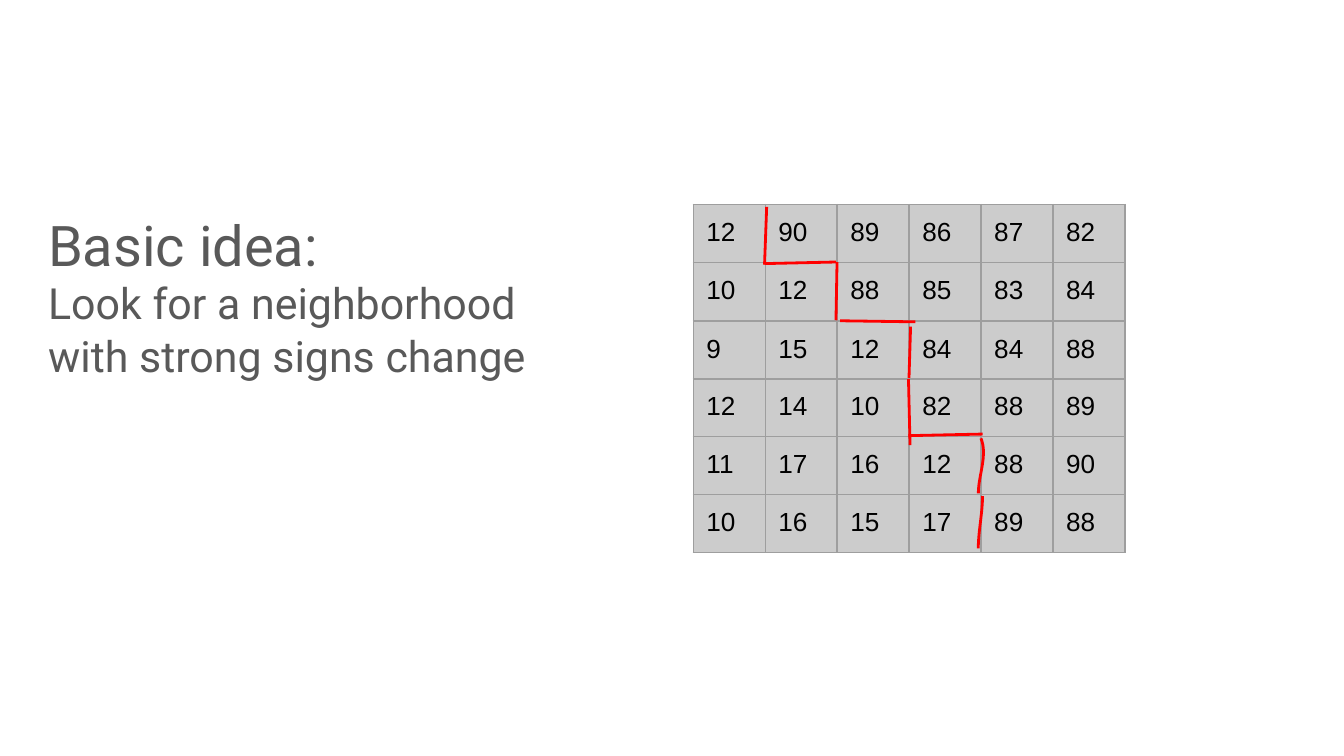
from lxml import etree
from pptx import Presentation
from pptx.dml.color import RGBColor
from pptx.oxml.ns import qn
from pptx.util import Cm, Pt

GRAY_TEXT = RGBColor(0x59, 0x59, 0x59)
BLACK = RGBColor(0x00, 0x00, 0x00)
CELL_GRAY = RGBColor(0xCC, 0xCC, 0xCC)
BORDER_GRAY = RGBColor(0x9E, 0x9E, 0x9E)
RED = RGBColor(0xFF, 0x00, 0x00)

# Content: text, size in points, line height in points
IDEA_LINES = [
    ("Basic idea:", 30, 44),
    ("Look for a neighborhood", 23, 27),
    ("with strong signs change", 23, 28),
]
PIXEL_VALUES = [
    [12, 90, 89, 86, 87, 82],
    [10, 12, 88, 85, 83, 84],
    [9, 15, 12, 84, 84, 88],
    [12, 14, 10, 82, 88, 89],
    [11, 17, 16, 12, 88, 90],
    [10, 16, 15, 17, 89, 88],
]
COLUMN_WIDTH = 1.36
ROW_HEIGHTS = [1.05, 1.11, 1.05, 1.05, 1.05, 1.05]

# Hand-drawn edge: Bezier control points in cm, two for a straight stroke
EDGE_STROKES = [
    [(14.49, 3.91), (14.45, 5)],
    [(14.45, 4.98), (15.8, 4.95)],
    [(15.82, 4.95), (15.8, 6.05)],
    [(15.88, 6.06), (17.3, 6.08)],
    [(17.21, 6.17), (17.18, 7.14)],
    [(17.17, 7.16), (17.2, 8.41)],
    [(17.17, 8.23), (18.57, 8.2)],
    [(18.54, 8.28), (18.67, 8.61), (18.49, 8.97), (18.49, 9.32)],
    [(18.57, 9.37), (18.57, 9.7), (18.49, 10.03), (18.49, 10.36)],
]
CURVE_STEPS = 16
INSETS = dict.fromkeys(
    ("margin_left", "margin_top", "margin_right", "margin_bottom"), Cm(0.25))


def set_attributes(target, values):
    for name, value in values.items():
        setattr(target, name, value)


def write(para, text, size, font, color):
    span = para.add_run()
    span.text = text
    set_attributes(span.font, {"size": Pt(size), "name": font})
    span.font.color.rgb = color


def add_borders(cell):
    properties = cell._tc.get_or_add_tcPr()
    for index, side in enumerate(("a:lnL", "a:lnR", "a:lnT", "a:lnB")):
        line = etree.Element(qn(side), w=str(Pt(0.75)))
        fill = etree.SubElement(line, qn("a:solidFill"))
        etree.SubElement(fill, qn("a:srgbClr"), val=str(BORDER_GRAY))
        properties.insert(index, line)


def curve_point(points, t):
    while len(points) > 1:
        points = [(x1 + (x2 - x1) * t, y1 + (y2 - y1) * t)
                  for (x1, y1), (x2, y2) in zip(points, points[1:])]
    x, y = points[0]
    return Cm(x), Cm(y)


def add_stroke(page, points):
    steps = CURVE_STEPS if len(points) > 2 else 1
    start, *rest = [curve_point(points, i / steps) for i in range(steps + 1)]
    builder = page.shapes.build_freeform(*start)
    builder.add_line_segments(rest, close=False)
    stroke = builder.convert_to_shape()
    stroke.shadow.inherit = False
    stroke.fill.background()
    stroke.line.color.rgb = RED
    stroke.line.width = Pt(1.5)


deck = Presentation()
set_attributes(deck, {"slide_width": Cm(25.4), "slide_height": Cm(14.28)})
page = deck.slides.add_slide(deck.slide_layouts[6])

# Idea text
box = page.shapes.add_textbox(Cm(0.66), Cm(3.45), Cm(23.67), Cm(9.5))
frame = box.text_frame
set_attributes(frame, {"word_wrap": True, **INSETS})
for index, (text, size, height) in enumerate(IDEA_LINES):
    para = frame.add_paragraph() if index else frame.paragraphs[0]
    para.line_spacing = Pt(height)
    write(para, text, size, "Roboto", GRAY_TEXT)

# Pixel value table
rows, columns = len(PIXEL_VALUES), len(PIXEL_VALUES[0])
table = page.shapes.add_table(
    rows, columns, Cm(13.1), Cm(3.86),
    Cm(COLUMN_WIDTH * columns), Cm(sum(ROW_HEIGHTS))).table
for column in table.columns:
    column.width = Cm(COLUMN_WIDTH)
for r, (values, height) in enumerate(zip(PIXEL_VALUES, ROW_HEIGHTS)):
    table.rows[r].height = Cm(height)
    for c, value in enumerate(values):
        cell = table.cell(r, c)
        set_attributes(cell, INSETS)
        cell.fill.solid()
        cell.fill.fore_color.rgb = CELL_GRAY
        add_borders(cell)
        write(cell.text_frame.paragraphs[0], str(value), 14, "Arial", BLACK)

# Red edge between dark and bright values
for points in EDGE_STROKES:
    add_stroke(page, points)

deck.save("out.pptx")
